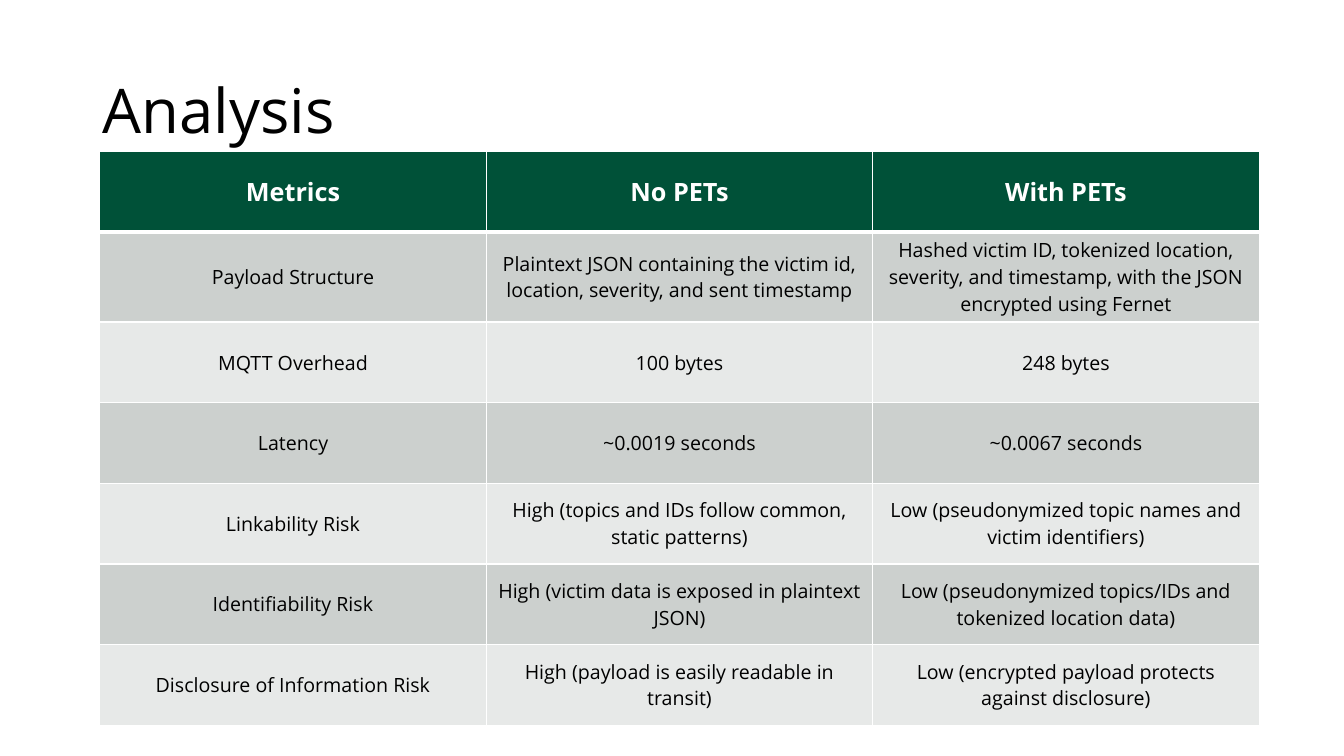
from dataclasses import dataclass

from lxml import etree
from pptx import Presentation
from pptx.dml.color import RGBColor
from pptx.enum import text
from pptx.oxml.ns import qn
from pptx.util import Inches, Pt

TITLE = "Analysis"
ROWS = [
    ("Metrics", "No PETs", "With PETs"),
    ("Payload Structure",
     "Plaintext JSON containing the victim id, location, severity, and sent timestamp",
     "Hashed victim ID, tokenized location, severity, and timestamp, "
     "with the JSON encrypted using Fernet"),
    ("MQTT Overhead", "100 bytes", "248 bytes"),
    ("Latency", "~0.0019 seconds", "~0.0067 seconds"),
    ("Linkability Risk",
     "High (topics and IDs follow common, static patterns)",
     "Low (pseudonymized topic names and victim identifiers)"),
    ("Identifiability Risk",
     "High (victim data is exposed in plaintext JSON)",
     "Low (pseudonymized topics/IDs and tokenized location data)"),
    ("Disclosure of Information Risk",
     "High (payload is easily readable in transit)",
     "Low (encrypted payload protects against disclosure)"),
]
TITLE_BOX = (0.92, 0.4, 11.5, 1.45)
TABLE_BOX = (0.99, 1.5, 11.5, 5.6)


@dataclass(frozen=True)
class Theme:
    font: str = "Open Sans"
    ink: str = "000000"
    white: str = "FFFFFF"
    header: str = "005138"
    bands: tuple = ("CCD0CE", "E7E9E8")
    title_size: int = 44
    header_size: int = 18
    body_size: int = 14
    border: int = 1
    header_border: int = 3


THEME = Theme()


def format_text(text_frame, size, color, alignment, bold=False):
    for paragraph in text_frame.paragraphs:
        paragraph.alignment = alignment
        for run in paragraph.runs:
            run.font.name = THEME.font
            run.font.size = Pt(size)
            run.font.bold = bold
            run.font.color.rgb = RGBColor.from_string(color)


def add_border(cell, side, width):
    """Draw one cell side; side is L, R, T or B."""
    properties = cell._tc.get_or_add_tcPr()
    line = etree.SubElement(properties, qn(f"a:ln{side}"), w=str(Pt(width)))
    fill = etree.SubElement(line, qn("a:solidFill"))
    etree.SubElement(fill, qn("a:srgbClr"), val=THEME.white)


def format_cell(cell, row_index):
    is_header = row_index == 0
    cell.vertical_anchor = text.MSO_ANCHOR.MIDDLE
    thick_side = {0: "B", 1: "T"}.get(row_index)
    for side in "LRTB":
        add_border(cell, side, THEME.header_border if side == thick_side else THEME.border)
    fill_color = THEME.header if is_header else THEME.bands[(row_index - 1) % 2]
    cell.fill.solid()
    cell.fill.fore_color.rgb = RGBColor.from_string(fill_color)
    format_text(
        cell.text_frame,
        THEME.header_size if is_header else THEME.body_size,
        THEME.white if is_header else THEME.ink,
        text.PP_ALIGN.CENTER,
        bold=is_header,
    )


def add_title(slide):
    title = slide.shapes.title
    title.left, title.top, title.width, title.height = map(Inches, TITLE_BOX)
    title.text_frame.text = TITLE
    title.text_frame.vertical_anchor = text.MSO_ANCHOR.MIDDLE
    title.text_frame.paragraphs[0].line_spacing = 0.9
    format_text(title.text_frame, THEME.title_size, THEME.ink, text.PP_ALIGN.LEFT)


def add_metrics_table(slide):
    table = slide.shapes.add_table(len(ROWS), len(ROWS[0]), *map(Inches, TABLE_BOX)).table
    for row_index, row in enumerate(ROWS):
        for column_index, content in enumerate(row):
            cell = table.cell(row_index, column_index)
            cell.text_frame.text = content
            format_cell(cell, row_index)


def main():
    presentation = Presentation()
    presentation.slide_width, presentation.slide_height = Inches(13.33), Inches(7.5)
    slide = presentation.slides.add_slide(presentation.slide_layouts[5])
    add_title(slide)
    add_metrics_table(slide)
    presentation.save("out.pptx")


if __name__ == "__main__":
    main()
